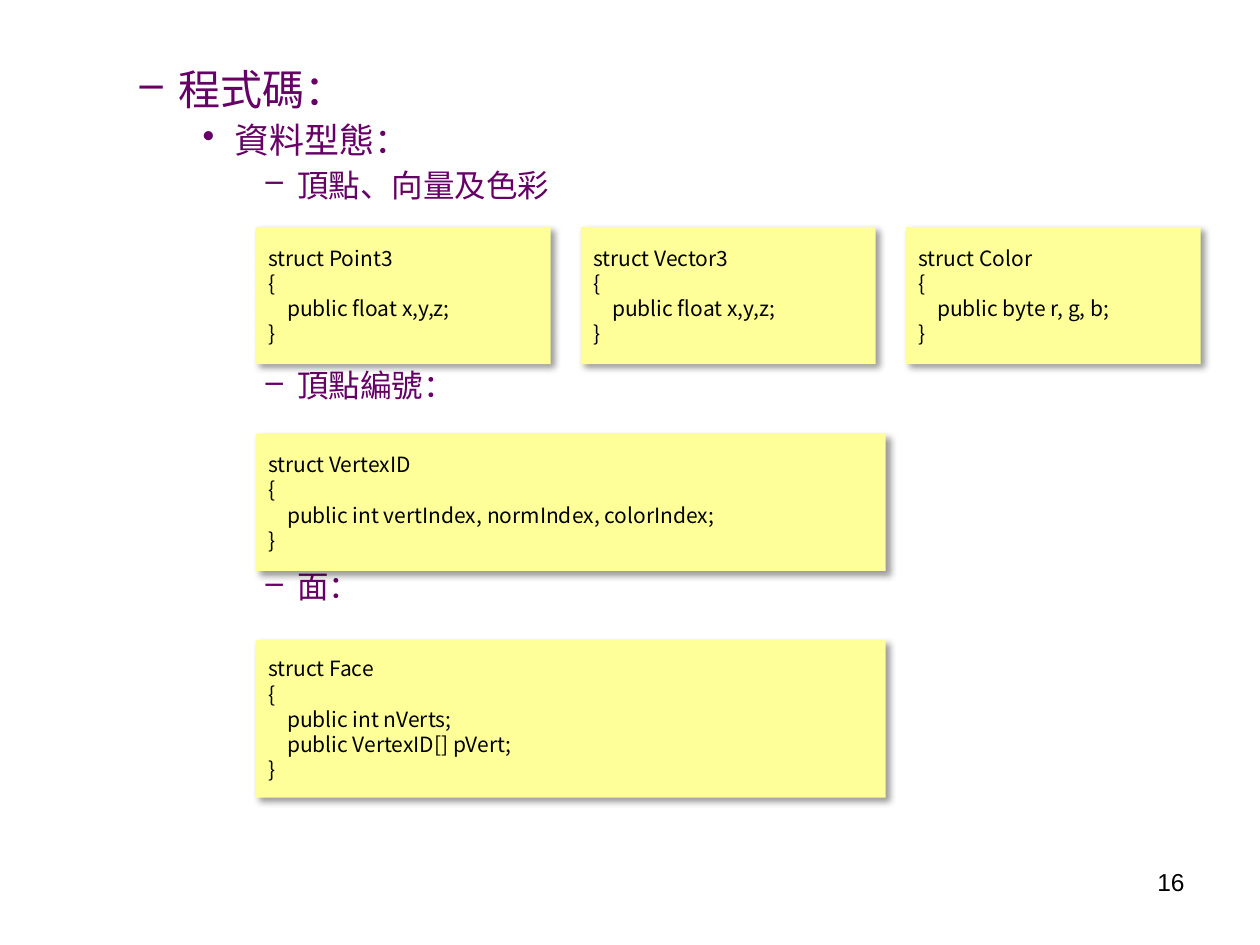
"""Build the slide that lists the mesh data types."""
import pptx
import pptx.dml.color
import pptx.enum.shapes
import pptx.enum.text
import pptx.oxml
import pptx.oxml.ns
import pptx.util
from lxml import etree

WIDTH, HEIGHT = 10, 7.5
COLORS = {"outline": "660066", "code": "000000", "box": "FFFF99", "shadow": "000000"}
FONTS = {"body": "Arial", "code": "Noto Sans CJK KR"}
LEFT, COLUMN_STEP, NARROW, WIDE = 2.03, 2.58, 2.34, 5
TOP, ROW_STEP, BOX_HEIGHT, LINE_HEIGHT = 1.8, 1.64, 1.09, 0.16
LEVELS = {
    1: {"size": 24, "margin": 0.81, "hang": 0.31, "bullet": "–"},
    2: {"size": 20, "margin": 1.25, "hang": 0.25, "bullet": "•"},
    3: {"size": 18, "margin": 1.75, "hang": 0.25, "bullet": "–"},
}
BOX_GAP = 94
OUTLINE = [
    (1, "程式碼：", None),
    (2, "資料型態：", None),
    (3, "頂點、向量及色彩", None),
    (3, "頂點編號：", BOX_GAP),
    (3, "面：", BOX_GAP),
]
STRUCTS = [
    (0, 0, NARROW, "Point3", ["public float x,y,z;"]),
    (1, 0, NARROW, "Vector3", ["public float x,y,z;"]),
    (2, 0, NARROW, "Color", ["public byte r, g, b;"]),
    (0, 1, WIDE, "VertexID", ["public int vertIndex, normIndex, colorIndex;"]),
    (0, 2, WIDE, "Face", ["public int nVerts;", "public VertexID[] pVert;"]),
]


def inches(*values):
    return [pptx.util.Inches(value) for value in values]


def rgb(name):
    return pptx.dml.color.RGBColor.from_string(COLORS[name])


def set_paragraph(p, text, size, font, color):
    p.text = text
    for r in p.runs:
        r.font.size = pptx.util.Pt(size)
        r.font.name = FONTS[font]
        r.font.color.rgb = rgb(color)
        ea = etree.SubElement(r.font._element, pptx.oxml.ns.qn("a:ea"))
        ea.set("typeface", FONTS[font])


def set_indent(p, margin, hang=0, bullet=None):
    pPr = p._p.get_or_add_pPr()
    pPr.set("marL", str(pptx.util.Inches(margin)))
    pPr.set("indent", str(-pptx.util.Inches(hang)))
    if bullet:
        etree.SubElement(pPr, pptx.oxml.ns.qn("a:buChar")).set("char", bullet)


def add_paragraphs(tf, count):
    return [tf.paragraphs[0]] + [tf.add_paragraph() for _ in range(count - 1)]


def add_outline(slide):
    tf = slide.shapes.add_textbox(*inches(0.51, 0.47, 9, 6.26)).text_frame
    tf.word_wrap = True
    for p, (level, text, gap) in zip(add_paragraphs(tf, len(OUTLINE)), OUTLINE):
        style = LEVELS[level]
        size = style["size"]
        set_paragraph(p, text, size, "body", "outline")
        p.line_spacing = pptx.util.Pt(1.15 * size)
        p.space_before = pptx.util.Pt(gap or 0.2 * size)
        set_indent(p, style["margin"], style["hang"], style["bullet"])


def add_shadow(sp):
    effects = pptx.oxml.parse_xml(
        f'<a:effectLst {pptx.oxml.ns.nsdecls("a")}>'
        '<a:outerShdw blurRad="50800" dist="38100" dir="2700000" algn="tl" rotWithShape="0">'
        f'<a:srgbClr val="{COLORS["shadow"]}"><a:alpha val="40000"/></a:srgbClr>'
        '</a:outerShdw></a:effectLst>')
    sp._element.spPr.append(effects)


def add_struct(slide, column, row, width, name, members):
    lines = [f"struct {name}", "{", *members, "}"]
    height = BOX_HEIGHT + LINE_HEIGHT * (len(members) - 1)
    sp = slide.shapes.add_shape(
        pptx.enum.shapes.MSO_SHAPE.RECTANGLE,
        *inches(LEFT + column * COLUMN_STEP, TOP + row * ROW_STEP, width, height))
    sp.fill.solid()
    sp.fill.fore_color.rgb = rgb("box")
    sp.line.fill.background()
    add_shadow(sp)
    tf = sp.text_frame
    tf.word_wrap = True
    tf.vertical_anchor = pptx.enum.text.MSO_ANCHOR.MIDDLE
    for p, text in zip(add_paragraphs(tf, len(lines)), lines):
        set_paragraph(p, text, 12, "code", "code")
        p.alignment = pptx.enum.text.PP_ALIGN.LEFT
        p.line_spacing = pptx.util.Pt(14.4)
        set_indent(p, 0.15 if text in members else 0)


def add_page_number(slide, text):
    tf = slide.shapes.add_textbox(*inches(7.17, 6.83, 2.33, 0.52)).text_frame
    tf.word_wrap = True
    p = tf.paragraphs[0]
    set_paragraph(p, text, 14, "body", "code")
    p.alignment = pptx.enum.text.PP_ALIGN.RIGHT


def main():
    prs = pptx.Presentation()
    prs.slide_width, prs.slide_height = inches(WIDTH, HEIGHT)
    slide = prs.slides.add_slide(prs.slide_layouts[6])
    add_outline(slide)
    add_page_number(slide, "16")
    for struct in STRUCTS:
        add_struct(slide, *struct)
    prs.save("out.pptx")


main()
